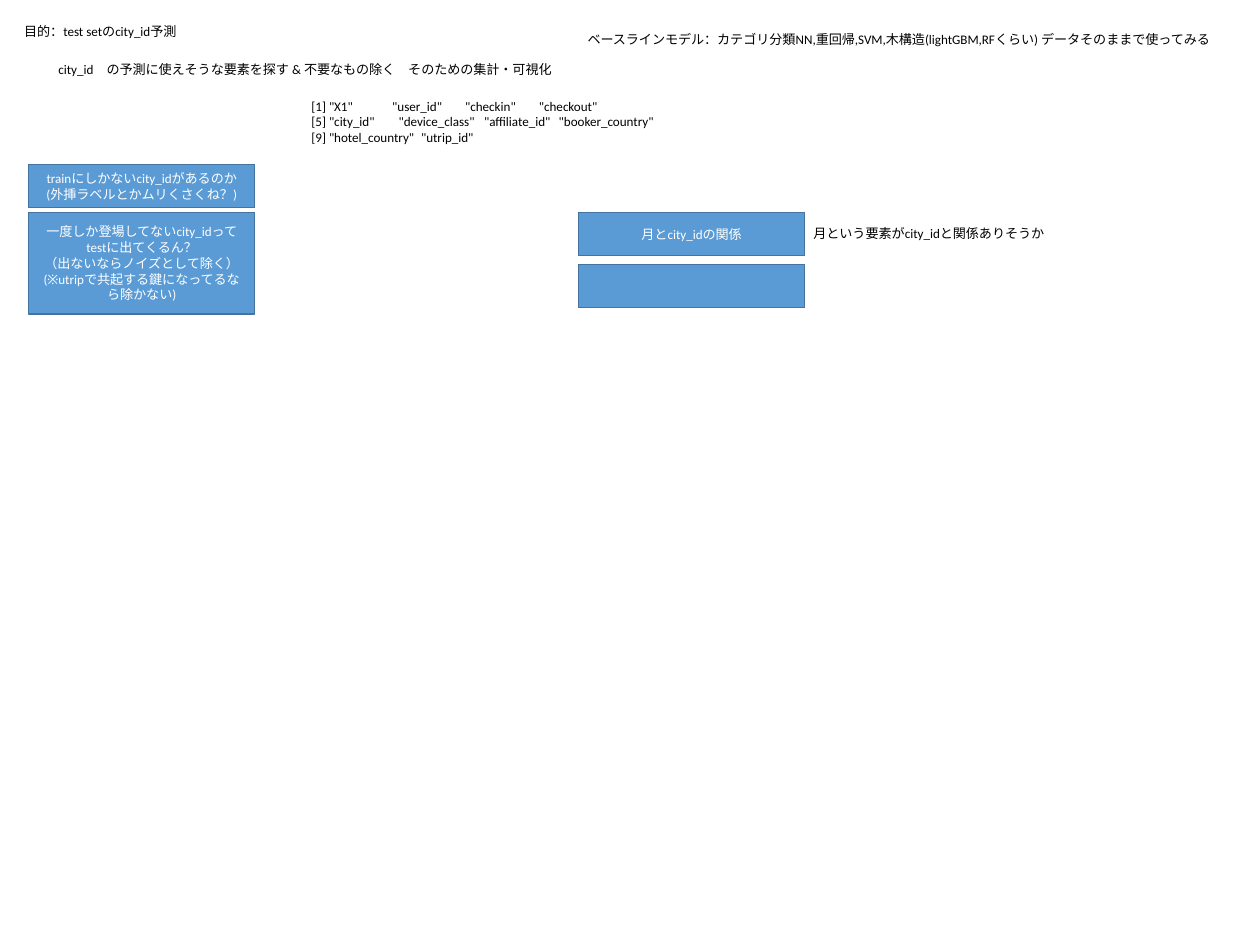
from lxml import etree
from pptx import Presentation
from pptx import util as u
from pptx.dml.color import RGBColor
from pptx.enum import shapes, text
from pptx.oxml import ns


def color(value):
    return RGBColor.from_string(value)


def write(frame, content, size=10.5, font="Calibri", ink="000000",
          align=text.PP_ALIGN.LEFT, anchor=text.MSO_ANCHOR.TOP, tabs=()):
    frame.word_wrap = True
    frame.vertical_anchor = anchor
    for index, line in enumerate(content.split("\n")):
        para = frame.paragraphs[0] if index == 0 else frame.add_paragraph()
        para.alignment = align
        span = para.add_run()
        span.text = line
        span.font.size = u.Pt(size)
        span.font.name = font
        span.font.color.rgb = color(ink)
        if tabs:
            stops = etree.SubElement(para._p.get_or_add_pPr(), ns.qn("a:tabLst"))
            for stop in tabs[index]:
                etree.SubElement(stops, ns.qn("a:tab"), pos=str(u.Inches(stop)), algn="l")


class Board:
    fill = "5B9BD5"
    line = "43739E"
    card_width = 2.51

    def __init__(self, page):
        self.page = page

    def label(self, content, left, top, width, height=0.28, **style):
        box = self.page.shapes.add_textbox(*map(u.Inches, (left, top, width, height)))
        write(box.text_frame, content, **style)
        box.text_frame.auto_size = text.MSO_AUTO_SIZE.SHAPE_TO_FIT_TEXT

    def card(self, left, top, height=0.48, content=""):
        box = self.page.shapes.add_shape(
            shapes.MSO_SHAPE.RECTANGLE,
            *map(u.Inches, (left, top, self.card_width, height)))
        box.shadow.inherit = False
        box.fill.solid()
        box.fill.fore_color.rgb = color(self.fill)
        box.line.color.rgb = color(self.line)
        box.line.width = u.Pt(1)
        if content:
            write(box.text_frame, content, ink="FFFFFF",
                  align=text.PP_ALIGN.CENTER, anchor=text.MSO_ANCHOR.MIDDLE)


deck = Presentation()
deck.slide_width = u.Inches(14)
deck.slide_height = u.Inches(10.5)
board = Board(deck.slides.add_slide(deck.slide_layouts[6]))

left_column, right_column, row = 0.32, 6.43, 2.36

board.label("目的：test setのcity_id予測", 0.17, 0.21, 2.92)
board.label("city_id　の予測に使えそうな要素を探す & 不要なもの除く　そのための集計・可視化",
            0.55, 0.63, 7.45)
board.card(left_column, 1.83,
           content="trainにしかないcity_idがあるのか\n(外挿ラベルとかムリくさくね？)")
board.card(left_column, row, 1.13,
           "一度しか登場してないcity_idって\ntestに出てくるん？\n"
           "（出ないならノイズとして除く）\n(※utripで共起する鍵になってるなら除かない)")
board.card(right_column, row + 0.58)
board.card(right_column, row, content="月とcity_idの関係")
board.label("月という要素がcity_idと関係ありそうか",
            right_column + board.card_width, row + 0.1, 2.96)
board.label("ベースラインモデル：カテゴリ分類NN,重回帰,SVM,木構造(lightGBM,RFくらい) "
            "データそのままで使ってみる", right_column, 0.3, 7.45)
board.label(' [1] "X1"\t"user_id"\t"checkin"\t"checkout"\n'
            ' [5] "city_id"\t"device_class"\t"affiliate_id"\t"booker_country"\n'
            ' [9] "hotel_country"\t"utrip_id"',
            3.33, 1.04, 6.52, 0.63,
            tabs=((0.93, 1.74, 2.56), (1, 1.95, 2.78), (1.25,)))

deck.save("out.pptx")
